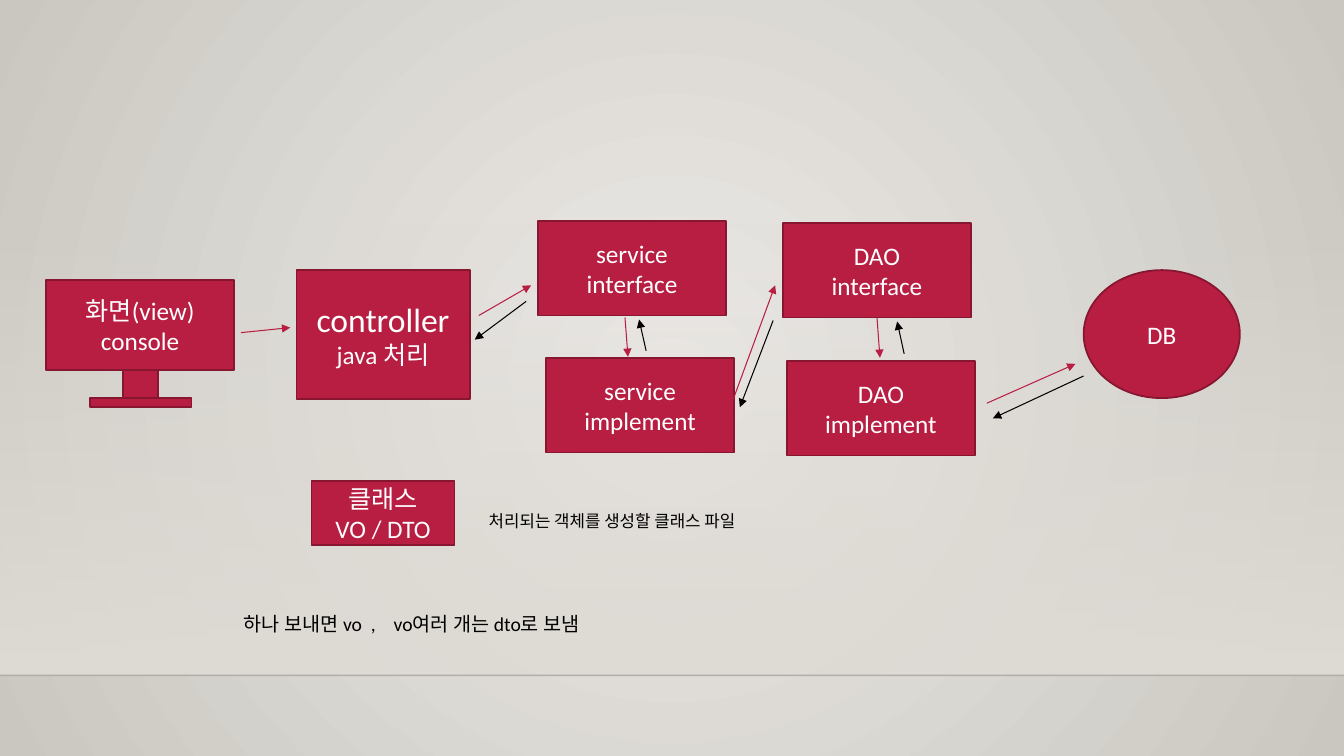
"""Build a slide showing how a request flows from the view to the database."""
from dataclasses import dataclass

from lxml.etree import SubElement
from pptx import Presentation
from pptx.dml.color import RGBColor
from pptx.enum.shapes import MSO_CONNECTOR, MSO_SHAPE
from pptx.enum.text import MSO_ANCHOR, MSO_AUTO_SIZE, PP_ALIGN
from pptx.oxml.ns import qn
from pptx.util import Inches, Pt

CELL = 0.1
COLUMNS, ROWS = 133.33, 75
FLOOR_ROW = 67


@dataclass(frozen=True)
class Theme:
    font: str = "Calibri"
    crimson: str = "B71E42"
    outline: str = "871631"
    white: str = "FFFFFF"
    black: str = "000000"
    floor: str = "000001"
    center: str = "ECEAE7"
    edge: str = "CAC7C1"
    wall: str = "DFDBD5"
    title: float = 24
    body: float = 18
    note: float = 14
    caption: float = 12


THEME = Theme()


@dataclass(frozen=True)
class Span:
    text: str
    size: float = THEME.body
    spacing: int = 0


@dataclass(frozen=True)
class Box:
    column: float
    row: float
    width: float
    height: float
    lines: tuple[Span, ...] = ()
    preset: MSO_SHAPE = MSO_SHAPE.RECTANGLE


@dataclass(frozen=True)
class Note:
    column: float
    row: float
    height: float
    spans: tuple[Span, ...]


@dataclass(frozen=True)
class Arrow:
    start: tuple[float, float]
    end: tuple[float, float]
    color: str


def layer(column: float, row: float, name: str, role: str) -> Box:
    return Box(column, row, 18.6, 9.4, (Span(name), Span(role)))


BOXES = (
    Box(107.5, 26.8, 15.5, 12.7, (Span("DB"),), MSO_SHAPE.OVAL),
    Box(4.6, 27.8, 18.6, 8.9, (Span("화면(view)"), Span("console"))),
    Box(12.2, 36.7, 3.5, 3.3),
    Box(8.9, 39.5, 10.1, 0.9),
    Box(29.4, 26.8, 17.2, 12.8, (Span("controller", THEME.title), Span("java 처리"))),
    layer(53.4, 21.9, "service", "interface"),
    layer(54.2, 35.5, "service", "implement"),
    layer(77.7, 22.1, "DAO", "interface"),
    layer(78.1, 35.8, "DAO", "implement"),
    Box(30.9, 47.7, 14.2, 6.4, (Span("클래스"), Span("VO / DTO"))),
)

NOTES = (
    Note(23.2, 60.2, 3.4, (
        Span("하나 보내면 vo", THEME.note),
        Span(" ", THEME.note, 320),
        Span(",", THEME.note),
        Span(" ", THEME.note, 950),
        Span("vo여러 개는 dto로 보냄", THEME.note),
    )),
    Note(47.5, 50.2, 3, (Span("처리되는 객체를 생성할 클래스 파일", THEME.caption),)),
)

REQUESTS = (
    ((23.9, 33), (28.8, 32.5)),
    ((47.5, 31.3), (52.7, 28.3)),
    ((62, 31.5), (62.3, 35.4)),
    ((72.6, 40), (76.9, 28.3)),
    ((87, 31.5), (87.3, 35.5)),
    ((97.9, 40), (106.7, 36.1)),
)
REPLIES = (
    ((107.5, 37.3), (98.5, 41.5)),
    ((89.7, 35.1), (89, 31.9)),
    ((76.7, 31.8), (73.4, 40.4)),
    ((64.1, 34.8), (63.4, 31.7)),
    ((52.2, 29.9), (47.1, 33.7)),
)
ARROWS = tuple(
    Arrow(start, end, color)
    for color, routes in ((THEME.crimson, REQUESTS), (THEME.black, REPLIES))
    for start, end in routes
)


def cells(count: float) -> int:
    return Inches(count * CELL)


def paint_gradient(fill, first: str, last: str) -> None:
    fill.gradient()
    for stop, color, position in zip(fill.gradient_stops, (first, last), (0, 1)):
        stop.color.rgb = RGBColor.from_string(color)
        stop.position = position


def set_alpha(element, percent: int) -> None:
    color = next(element.iter(qn("a:srgbClr")))
    SubElement(color, qn("a:alpha")).set("val", str(percent * 1000))


def draw_line(page, start: tuple[float, float], end: tuple[float, float],
              color: str, width: float):
    line = page.shapes.add_connector(
        MSO_CONNECTOR.STRAIGHT, *map(cells, start), *map(cells, end))
    line.line.color.rgb = RGBColor.from_string(color)
    line.line.width = Pt(width)
    SubElement(line.element.spPr, qn("a:effectLst"))
    return line


def draw_backdrop(page) -> None:
    paint_gradient(page.background.fill, THEME.center, THEME.edge)
    linear = next(page.element.iter(qn("a:lin")))
    gradient = linear.getparent()
    gradient.remove(linear)
    radial = SubElement(gradient, qn("a:path"))
    radial.set("path", "circle")
    focus = SubElement(radial, qn("a:fillToRect"))
    for side in "ltrb":
        focus.set(side, "50000")

    wall = page.shapes.add_shape(
        MSO_SHAPE.RECTANGLE, 0, cells(22.1), cells(COLUMNS), cells(FLOOR_ROW - 22.1))
    wall.shadow.inherit = False
    wall.line.fill.background()
    paint_gradient(wall.fill, THEME.wall, THEME.wall)
    wall.fill.gradient_angle = 270
    set_alpha(wall.element.spPr, 0)

    floor = draw_line(page, (0, FLOOR_ROW), (COLUMNS, FLOOR_ROW), THEME.floor, 1)
    set_alpha(floor.element.spPr, 20)


def add_span(para, span: Span, color: str) -> None:
    run = para.add_run()
    run.text = span.text
    run.font.name = THEME.font
    run.font.size = Pt(span.size)
    run.font.color.rgb = RGBColor.from_string(color)
    if span.spacing:
        run.font._element.set("spc", str(span.spacing))


def draw_box(page, box: Box) -> None:
    shape = page.shapes.add_shape(
        box.preset, *map(cells, (box.column, box.row, box.width, box.height)))
    shape.shadow.inherit = False
    shape.fill.solid()
    shape.fill.fore_color.rgb = RGBColor.from_string(THEME.crimson)
    shape.line.color.rgb = RGBColor.from_string(THEME.outline)
    shape.line.width = Pt(1.25)
    frame = shape.text_frame
    frame.vertical_anchor = MSO_ANCHOR.MIDDLE
    for index, span in enumerate(box.lines):
        para = frame.add_paragraph() if index else frame.paragraphs[0]
        para.alignment = PP_ALIGN.CENTER
        add_span(para, span, THEME.white)


def draw_note(page, note: Note) -> None:
    frame = page.shapes.add_textbox(
        *map(cells, (note.column, note.row, 65.8, note.height))).text_frame
    frame.word_wrap = True
    frame.auto_size = MSO_AUTO_SIZE.SHAPE_TO_FIT_TEXT
    for span in note.spans:
        add_span(frame.paragraphs[0], span, THEME.black)


def draw_arrow(page, arrow: Arrow) -> None:
    line = draw_line(page, arrow.start, arrow.end, arrow.color, 0.75)
    SubElement(line.line._get_or_add_ln(), qn("a:tailEnd")).set("type", "triangle")


def main() -> None:
    deck = Presentation()
    deck.slide_width, deck.slide_height = cells(COLUMNS), cells(ROWS)
    page = deck.slides.add_slide(deck.slide_layouts[6])
    draw_backdrop(page)
    for draw, items in ((draw_box, BOXES), (draw_note, NOTES), (draw_arrow, ARROWS)):
        for item in items:
            draw(page, item)
    deck.save("out.pptx")


if __name__ == "__main__":
    main()
